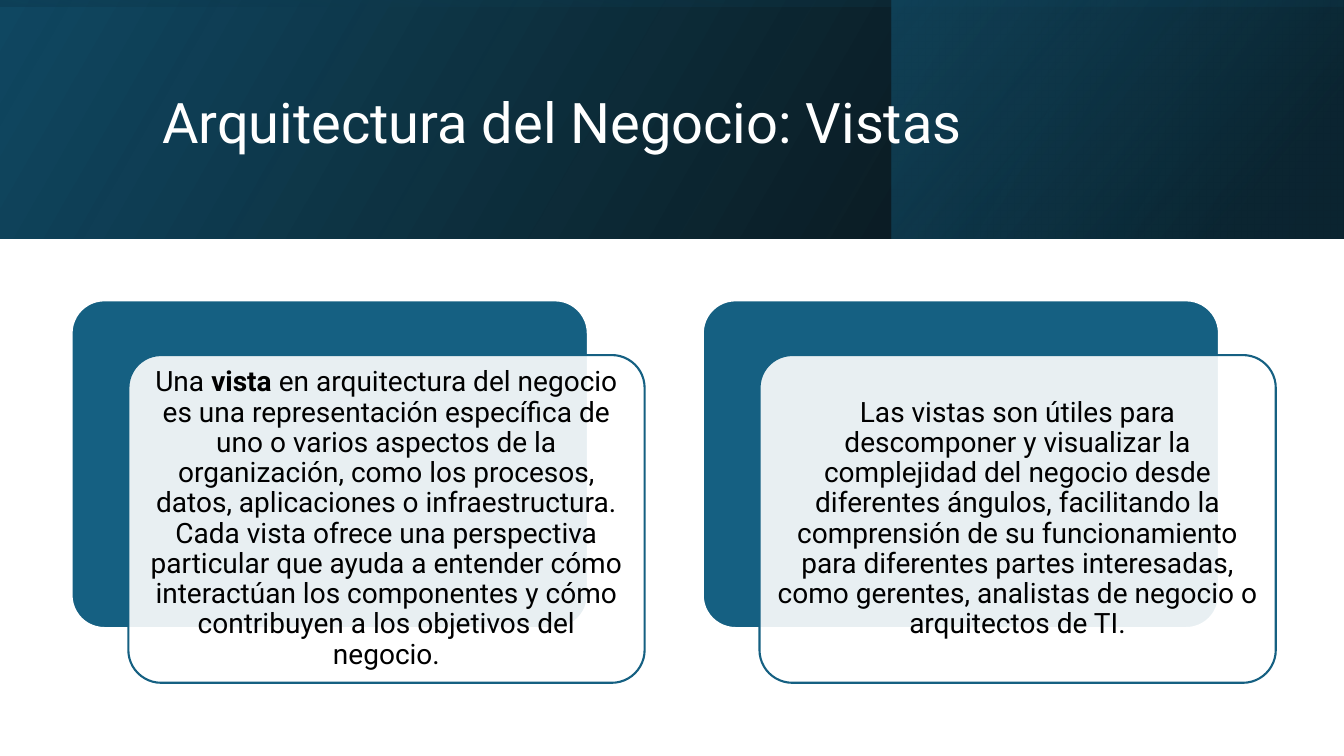
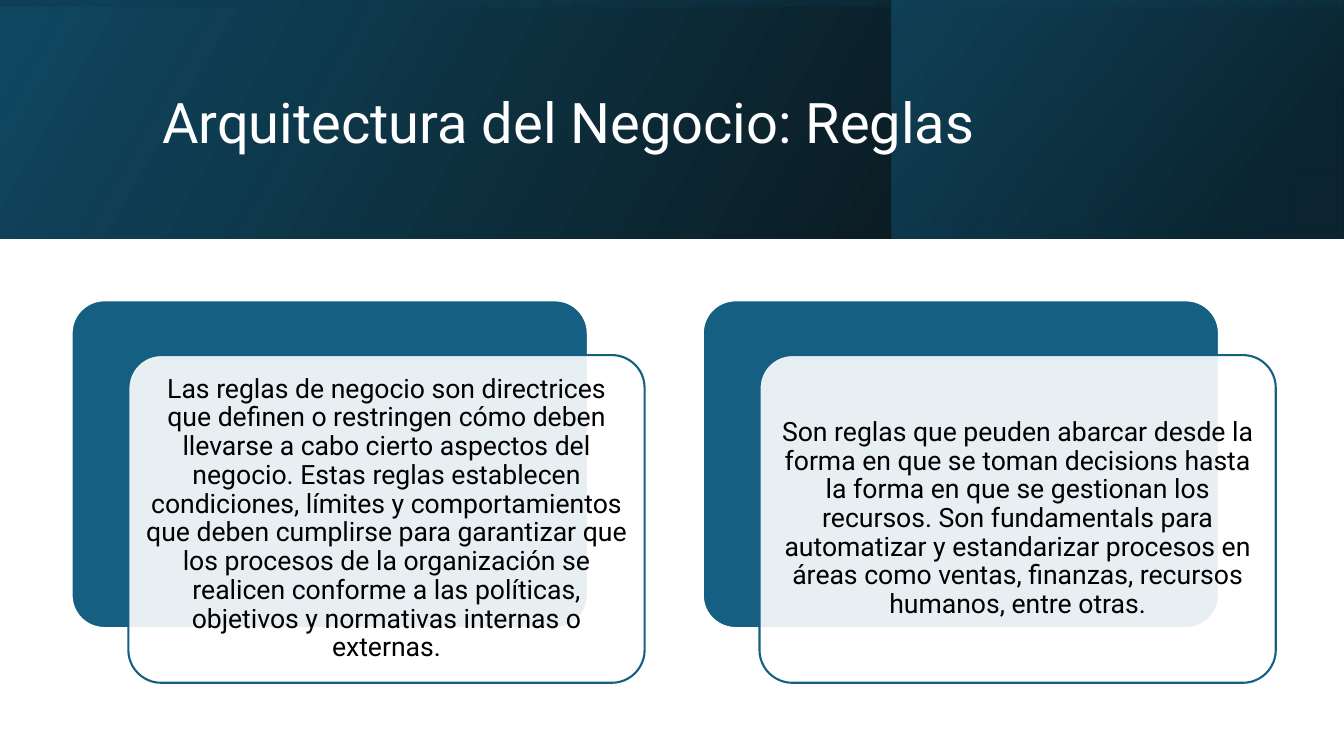
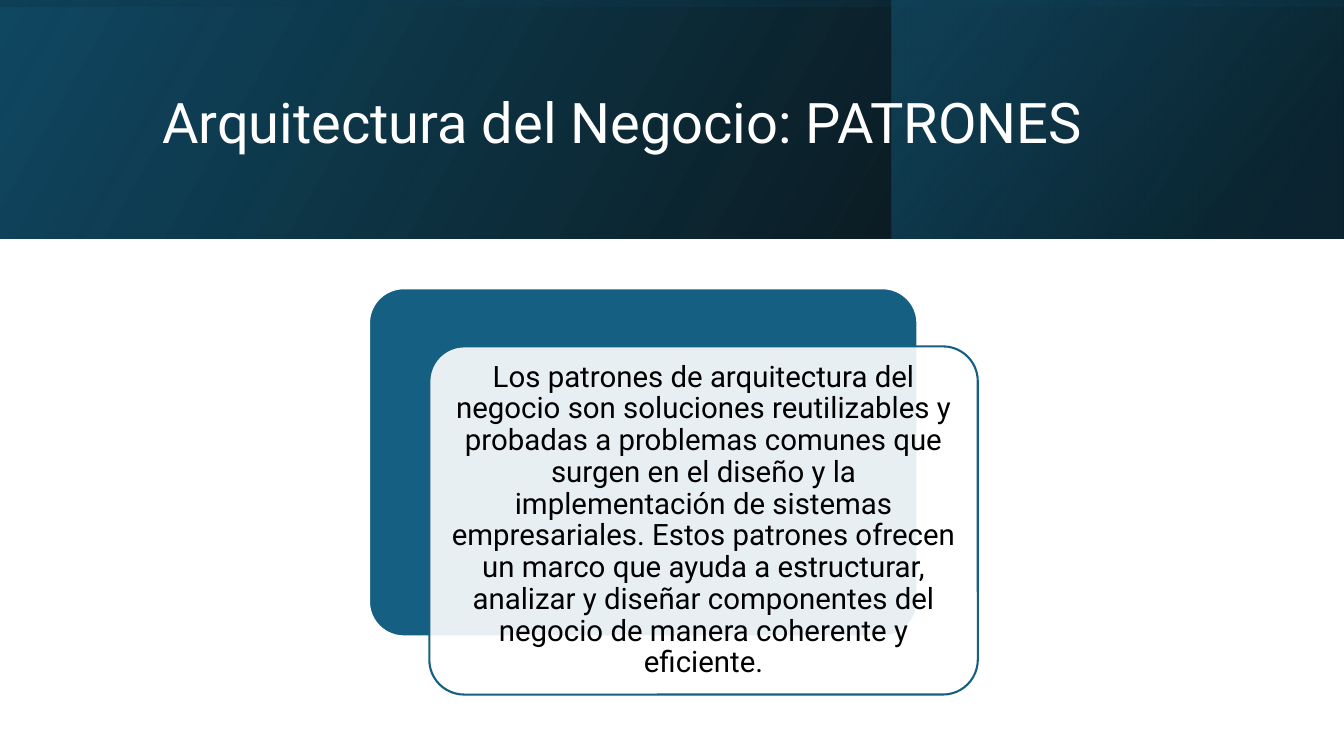
from dataclasses import dataclass

from lxml import etree
from pptx import Presentation
from pptx.dml.color import RGBColor
from pptx.enum.shapes import MSO_SHAPE
from pptx.enum.text import MSO_ANCHOR, PP_ALIGN
from pptx.oxml.ns import qn
from pptx.util import Inches, Pt

RECT = MSO_SHAPE.RECTANGLE
ROUND = MSO_SHAPE.ROUNDED_RECTANGLE
MIDDLE = MSO_ANCHOR.MIDDLE
LEFT, CENTER = PP_ALIGN.LEFT, PP_ALIGN.CENTER


@dataclass(frozen=True)
class Theme:
    """Colours, font and type sizes of the deck."""
    font: str = "Roboto"
    white: str = "FFFFFF"
    black: str = "000000"
    blue: str = "156082"
    deep: str = "104862"
    night: str = "0B3041"
    title: int = 40
    line: float = 1.5
    lead: float = 0.9


THEME = Theme()
WIDE, HIGH, BAND = 13.33, 7.5, 2.37

DECK = [
    ("Arquitectura del Negocio: Vistas", 20, (0.71, 2.98, 5.12), [
        [("Una ", False), ("vista", True),
         (" en arquitectura del negocio es una representación específica de uno o "
          "varios aspectos de la organización, como los procesos, datos, aplicaciones "
          "o infraestructura. Cada vista ofrece una perspectiva particular que ayuda a "
          "entender cómo interactúan los componentes y cómo contribuyen a los "
          "objetivos del negocio.", False)],
        [("Las vistas son útiles para descomponer y visualizar la complejidad del "
          "negocio desde diferentes ángulos, facilitando la comprensión de su "
          "funcionamiento para diferentes partes interesadas, como gerentes, "
          "analistas de negocio o arquitectos de TI.", False)],
    ]),
    ("Arquitectura del Negocio: Reglas", 19, (0.71, 2.98, 5.12), [
        [("Las reglas de negocio son directrices que definen o restringen cómo deben "
          "llevarse a cabo cierto aspectos del negocio. Estas reglas establecen "
          "condiciones, límites y comportamientos que deben cumplirse para garantizar "
          "que los procesos de la organización se realicen conforme a las políticas, "
          "objetivos y normativas internas o externas.", False)],
        [("Son reglas que peuden abarcar desde la forma en que se toman decisions "
          "hasta la forma en que se gestionan los recursos. Son fundamentals para "
          "automatizar y estandarizar procesos en áreas como ventas, finanzas, "
          "recursos humanos, entre otras.", False)],
    ]),
    ("Arquitectura del Negocio: PATRONES", 21, (3.66, 2.86, 5.44), [
        [("Los patrones de arquitectura del negocio son soluciones reutilizables y "
          "probadas a problemas comunes que surgen en el diseño y la implementación de "
          "sistemas empresariales. Estos patrones ofrecen un marco que ayuda a "
          "estructurar, analizar y diseñar componentes del negocio de manera coherente "
          "y eficiente.", False)],
    ]),
]


def rgb(code):
    """Turn a hex code into a colour."""
    return RGBColor.from_string(code)


def fade(shape, alphas):
    """Set the opacity, in percent, of each fill colour in turn."""
    tones = shape._element.spPr.iter(qn("a:srgbClr"))
    for tone, alpha in zip(tones, alphas):
        etree.SubElement(tone, qn("a:alpha")).set("val", str(alpha * 1000))


def add(slide, kind, x, y, w, h):
    """Add a preset shape without shadow."""
    shape = slide.shapes.add_shape(kind, Inches(x), Inches(y), Inches(w), Inches(h))
    shape.shadow.inherit = False
    return shape


def write(shape, runs, size, color, align):
    """Write one paragraph of (text, bold) runs, centred in height."""
    frame = shape.text_frame
    frame.word_wrap = True
    frame.vertical_anchor = MIDDLE
    para = frame.paragraphs[0]
    para.alignment = align
    para.line_spacing = THEME.lead
    font = para.font
    font.name, font.size, font.color.rgb = THEME.font, Pt(size), rgb(color)
    for text, bold in runs:
        run = para.add_run()
        run.text = text
        if bold:
            run.font.bold = True


def sheen(slide, box, angle, stops, turn=0):
    """Add a mirrored gradient panel; stops are (percent, colour, opacity)."""
    panel = add(slide, RECT, *box)
    panel.line.fill.background()
    panel.rotation = turn
    panel.fill.gradient()
    panel.fill.gradient_angle = 360 - angle
    for stop, (place, color, _) in zip(panel.fill.gradient_stops, stops):
        stop.position = place / 100
        stop.color.rgb = rgb(color)
    fade(panel, [alpha for _, _, alpha in stops])
    panel._element.spPr.find(qn("a:xfrm")).set("flipH", "1")


def header(slide, title):
    """Draw the top band and its title."""
    sheen(slide, (0, 0, WIDE, BAND), 330,
          [(0, THEME.black, 96), (100, THEME.deep, 100)])
    sheen(slide, (8.84, 0, 4.48, BAND), 320,
          [(19, THEME.night, 68), (100, THEME.blue, 48)])
    side = (WIDE - BAND) / 2
    sheen(slide, (side, -side, BAND, WIDE), 350,
          [(23, THEME.deep, 16), (99, THEME.black, 45)], 270)
    box = slide.shapes.add_textbox(Inches(1.51), Inches(0.38), Inches(10.63), Inches(1.72))
    write(box, [(title, False)], THEME.title, THEME.white, LEFT)


def card(slide, x, y, w, runs, size):
    """Draw a solid plate with a clear text plate shifted over it."""
    h = w * 0.635
    looks = [(0, 0, THEME.blue, THEME.white),
             (w * 0.11, w * 0.106, THEME.white, THEME.blue)]
    for dx, dy, fill, line in looks:
        plate = add(slide, ROUND, x + dx, y + dy, w, h)
        plate.adjustments[0] = 0.1
        plate.fill.solid()
        plate.fill.fore_color.rgb = rgb(fill)
        plate.line.color.rgb = rgb(line)
        plate.line.width = Pt(THEME.line)
    fade(plate, [90])
    frame = plate.text_frame
    frame.margin_left = frame.margin_right = Inches(0.08)
    frame.margin_top = frame.margin_bottom = Inches(0.08)
    write(plate, runs, size, THEME.black, CENTER)


def main():
    """Build the deck."""
    deck = Presentation()
    deck.slide_width, deck.slide_height = Inches(WIDE), Inches(HIGH)
    for title, size, (x, y, w), cards in DECK:
        slide = deck.slides.add_slide(deck.slide_layouts[6])
        header(slide, title)
        for i, runs in enumerate(cards):
            card(slide, x + i * 6.26, y, w, runs, size)
    deck.save("out.pptx")


if __name__ == "__main__":
    main()
